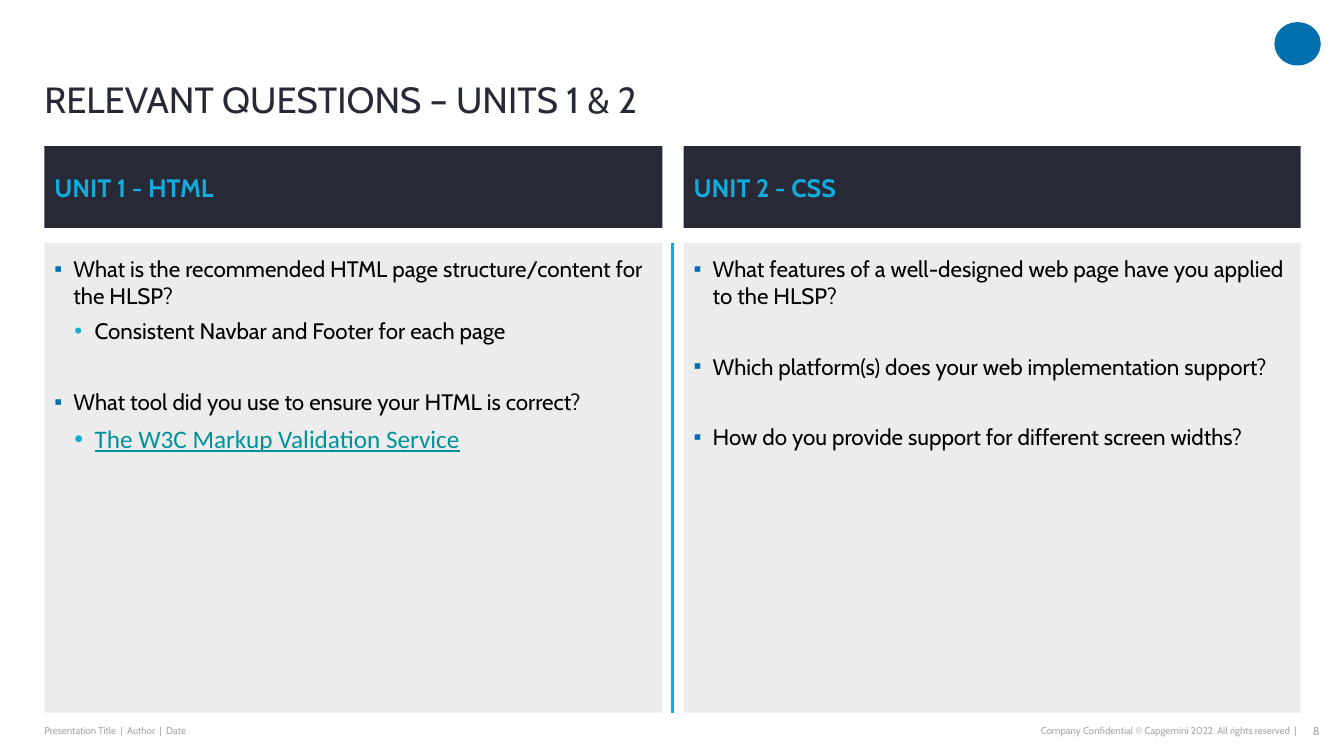
import pptx
import pptx.dml.color
import pptx.enum.shapes
import pptx.enum.text
import pptx.oxml
import pptx.oxml.ns
import pptx.util
from lxml import etree

Inches, Pt = pptx.util.Inches, pptx.util.Pt
ALIGN = pptx.enum.text.PP_ALIGN
ANCHOR = pptx.enum.text.MSO_ANCHOR
SHAPE = pptx.enum.shapes.MSO_SHAPE
qn = pptx.oxml.ns.qn

NAVY, CYAN, BLUE, GREY = "272936", "12ABDB", "0070AD", "A6A6A6"
PANEL, BLACK, TEAL = "ECECEC", "000000", "00929B"


def rgb(value):
    return pptx.dml.color.RGBColor.from_string(value)


def apply(target, values):
    for name, value in values.items():
        setattr(target, name, value)


class Deck:
    font = "Cabin"
    # glyph, bullet colour, left margin, hanging indent
    bullets = {1: ("▪", BLUE, 0.19, 0.19), 2: ("•", CYAN, 0.4, 0.2)}

    def __init__(self, presentation):
        self.slide = presentation.slides.add_slide(presentation.slide_layouts[6])

    def add_text(self, paragraph, text, size, color, spacing=None, **font):
        """Put one formatted run into a paragraph."""
        apply(paragraph, {"alignment": ALIGN.LEFT, **(spacing or {})})
        run = paragraph.add_run()
        run.text = text
        apply(run.font, {"name": self.font, "size": Pt(size), **font})
        run.font.color.rgb = rgb(color)

    def frame(self, shape, anchor, insets=(0, 0, 0, 0)):
        frame = shape.text_frame
        sides = ("margin_left", "margin_top", "margin_right", "margin_bottom")
        margins = {side: Inches(inset) for side, inset in zip(sides, insets)}
        apply(frame, {"word_wrap": True, "vertical_anchor": anchor, **margins})
        return frame

    def label(self, box, text, size, color, anchor=ANCHOR.MIDDLE, **spacing):
        shape = self.slide.shapes.add_textbox(*map(Inches, box))
        frame = self.frame(shape, anchor)
        self.add_text(frame.paragraphs[0], text, size, color, spacing)

    def block(self, box, fill, kind=SHAPE.RECTANGLE):
        shape = self.slide.shapes.add_shape(kind, *map(Inches, box))
        shape.shadow.inherit = False
        shape.fill.solid()
        shape.fill.fore_color.rgb = rgb(fill)
        shape.line.fill.background()
        return shape

    def heading(self, box, text):
        frame = self.frame(self.block(box, NAVY), ANCHOR.MIDDLE, (0.1, 0, 0.04, 0))
        self.add_text(frame.paragraphs[0], text, 18, CYAN,
                      {"space_after": Pt(6)}, bold=True)

    def bullet(self, paragraph, level):
        glyph, color, margin, hang = self.bullets[level]
        properties = paragraph._p.get_or_add_pPr()
        properties.set("marL", str(Inches(margin)))
        properties.set("indent", str(-Inches(hang)))
        tint = etree.SubElement(properties, qn("a:buClr"))
        etree.SubElement(tint, qn("a:srgbClr"), val=color)
        etree.SubElement(properties, qn("a:buFont"), typeface="Arial")
        etree.SubElement(properties, qn("a:buChar"), char=glyph)

    def questions(self, box, items):
        frame = self.frame(self.block(box, PANEL), ANCHOR.TOP, (0.1, 0.12, 0, 0))
        for number, (level, text, look) in enumerate(items):
            paragraph = frame.add_paragraph() if number else frame.paragraphs[0]
            self.bullet(paragraph, level)
            spacing = {"space_after": Pt(6)}
            if number and level == 1:
                spacing["space_before"] = Pt(25.4)
            self.add_text(paragraph, text, spacing=spacing,
                          **{"size": 16, "color": BLACK, **look})

    def divider(self, x, top, bottom):
        line = self.slide.shapes.add_connector(
            pptx.enum.shapes.MSO_CONNECTOR.STRAIGHT,
            Inches(x), Inches(top), Inches(x), Inches(bottom))
        line.line.color.rgb = rgb(CYAN)
        line.line.width = Pt(2.25)
        etree.SubElement(line._element.spPr, qn("a:effectLst"))


def main():
    presentation = pptx.Presentation()
    presentation.slide_width = Inches(13.33)
    presentation.slide_height = Inches(7.5)
    deck = Deck(presentation)

    # Corner emblem
    deck.block((12.64, 0.22, 0.46, 0.43), BLUE, SHAPE.OVAL)

    # Footer
    deck.label((0.44, 7.13, 3.73, 0.24),
               "Presentation Title  |  Author  |  Date", 7, GREY)
    deck.label((7.9, 7.13, 4.96, 0.24),
               "Company Confidential © Capgemini 2022. All rights reserved  |",
               7, GREY, alignment=ALIGN.RIGHT)
    deck.label((12.84, 7.13, 0.25, 0.24), "8", 8, GREY, alignment=ALIGN.RIGHT)

    # Title
    deck.label((0.44, 0.42, 11.97, 0.78), "RELEVANT QUESTIONS – UNITS 1 & 2",
               26, NAVY, ANCHOR.BOTTOM, line_spacing=0.9)

    # Unit columns
    service = {"size": 18, "color": TEAL, "name": "Calibri", "underline": True}
    units = [
        (0.44, 6.13, "UNIT 1 - HTML", [
            (1, "What is the recommended HTML page structure/content for the HLSP?", {}),
            (2, "Consistent Navbar and Footer for each page", {}),
            (1, "What tool did you use to ensure your HTML is correct?", {}),
            (2, "The W3C Markup Validation Service", service),
        ]),
        (6.78, 6.12, "UNIT 2 - CSS", [
            (1, "What features of a well-designed web page have you applied to the HLSP?", {}),
            (1, "Which platform(s) does your web implementation support?", {}),
            (1, "How do you provide support for different screen widths?", {}),
        ]),
    ]
    panel_top, panel_height = 2.41, 4.66
    for left, width, unit, items in units:
        deck.heading((left, 1.45, width, 0.81), unit)
        deck.questions((left, panel_top, width, panel_height), items)

    # Line between the columns
    deck.divider(6.67, panel_top, panel_top + panel_height)

    presentation.save("out.pptx")


if __name__ == "__main__":
    main()
